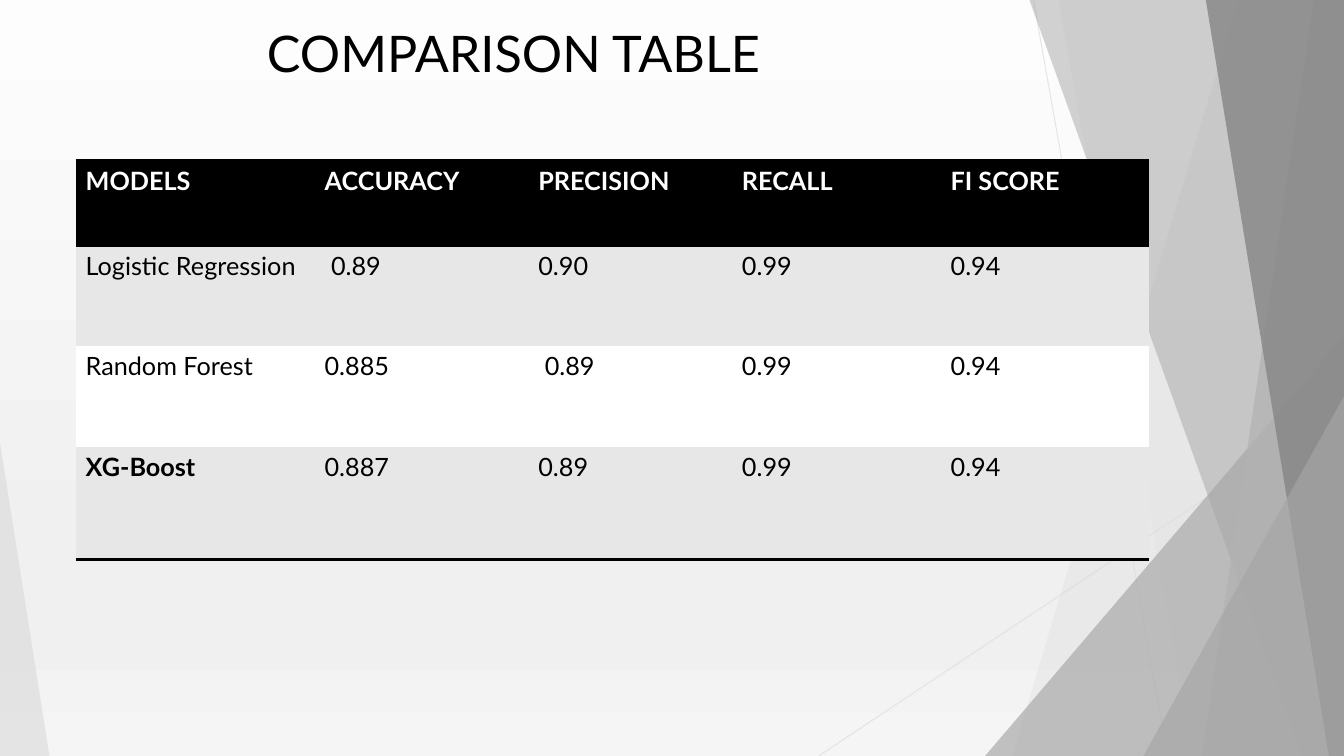
import copy
import pptx
import pptx.util
import pptx.dml.color
import pptx.enum.shapes
import pptx.enum.text
import pptx.oxml
import pptx.oxml.ns

Inches = pptx.util.Inches
qn = pptx.oxml.ns.qn


def color(hex_code):
    return pptx.dml.color.RGBColor.from_string(hex_code)


def write(frame, text, **format_values):
    run = frame.paragraphs[0].add_run()
    run.text = text
    run.font.name = "Lato"
    run.font.color.rgb = color(format_values.pop("rgb", "000000"))
    for attribute, value in format_values.items():
        setattr(run.font, attribute, value)


deck = pptx.Presentation()
deck.slide_width, deck.slide_height = Inches(13.33), Inches(7.5)
slide = deck.slides.add_slide(deck.slide_layouts[6])
shapes = slide.shapes

backdrop = slide.background.fill
backdrop.gradient()
backdrop.gradient_angle = 270
stop_list = backdrop.gradient_stops[0]._gs.getparent()
for _ in range(2):
    stop_list.append(copy.deepcopy(stop_list[0]))
shades = [(0, "FDFDFD"), (0.74, "F0F0F0"), (0.83, "F0F0F0"), (1, "F5F5F5")]
for stop, (position, shade) in zip(backdrop.gradient_stops, shades):
    stop.position = position
    stop.color.rgb = color(shade)

for x1, y1, x2, y2 in [(10.25, 0, 11.58, 7.5), (13.33, 4.03, 8.12, 7.5)]:
    ray = shapes.add_connector(pptx.enum.shapes.MSO_CONNECTOR.STRAIGHT,
                               Inches(x1), Inches(y1), Inches(x2), Inches(y2))
    ray.line.color.rgb = color("DDDDDD")
    ray.line.width = pptx.util.Pt(0.75)
    ray_color = ray.line.fill._xPr.find(".//" + qn("a:srgbClr"))
    pptx.oxml.ns  # noqa
    ray_color.append(pptx.oxml.parse_xml(
        f'<a:alpha {pptx.oxml.ns.nsdecls("a")} val="70000"/>'))
    ray._element.spPr.append(pptx.oxml.parse_xml(
        f'<a:effectLst {pptx.oxml.ns.nsdecls("a")}/>'))

facets = [
    ("pane", (12.28, 10.04), "DDDDDD", 36),
    ("pane", (10.5, 11.83), "DDDDDD", 20),
    ("triangle", (9.77, 3.33, 3.56, 4.17, 1), "A6A6A6", 66),
    ("pane", (10.21, 12.91), "A6A6A6", 50),
    ("pane", (13.03, 11.92), "B2B2B2", 70),
    ("pane", (11.96, 13.18), "858585", 80),
    ("triangle", (11.34, 3.93, 1.99, 3.57, 1), "A6A6A6", 66),
    ("triangle", (0, 4.39, 0.49, 3.11, 0), "DDDDDD", 70),
]
for kind, geometry, shade, opacity in facets:
    if kind == "pane":
        top_x, bottom_x = geometry
        outline = shapes.build_freeform(Inches(top_x), 0)
        outline.add_line_segments([
            (Inches(13.33), 0), (Inches(13.33), Inches(7.5)),
            (Inches(bottom_x), Inches(7.5))])
        facet = outline.convert_to_shape()
    else:
        *box, apex = geometry
        facet = shapes.add_shape(pptx.enum.shapes.MSO_SHAPE.ISOSCELES_TRIANGLE,
                                 *map(Inches, box))
        facet.adjustments[0] = apex
    facet.shadow.inherit = False
    facet.line.fill.background()
    facet.fill.solid()
    facet.fill.fore_color.rgb = color(shade)
    facet._element.spPr.find(".//" + qn("a:srgbClr")).append(pptx.oxml.parse_xml(
        f'<a:alpha {pptx.oxml.ns.nsdecls("a")} val="{opacity * 1000}"/>'))

title = shapes.add_textbox(Inches(2.55), Inches(0.17), Inches(6), Inches(0.75)).text_frame
title.word_wrap = True
write(title, "COMPARISON TABLE", size=pptx.util.Pt(36))

scores = [
    ["MODELS", "ACCURACY", "PRECISION", "RECALL", "FI SCORE"],
    ["Logistic Regression", " 0.89", "0.90", "0.99", "0.94"],
    ["Random Forest", "0.885", " 0.89", "0.99", "0.94"],
    ["XG-Boost", "0.887", "0.89", "0.99", "0.94"],
]
widths = [2.37, 2.12, 2.02, 2.07, 2.07]
heights = [0.85, 0.99, 1, 1.12]
row_fills = ["000000", "E7E7E7", "FFFFFF", "E7E7E7"]
row_borders = [["lnT", "lnB"], [], [], ["lnB"]]

comparison = shapes.add_table(len(scores), len(widths), Inches(0.75), Inches(1.59),
                              Inches(sum(widths)), Inches(sum(heights))).table
comparison._tbl.tblPr.find(qn("a:tableStyleId")).text = "{2D5ABB26-0587-4C30-8999-92F81FD0307C}"
for column, width in zip(comparison.columns, widths):
    column.width = Inches(width)
for r, (row, height) in enumerate(zip(comparison.rows, heights)):
    row.height = Inches(height)
    for c, cell in enumerate(row.cells):
        for side in row_borders[r]:
            cell._tc.get_or_add_tcPr().append(pptx.oxml.parse_xml(
                f'<a:{side} {pptx.oxml.ns.nsdecls("a")} w="25400"><a:solidFill>'
                f'<a:srgbClr val="000000"/></a:solidFill></a:{side}>'))
        cell.fill.solid()
        cell.fill.fore_color.rgb = color(row_fills[r])
        write(cell.text_frame, scores[r][c], size=pptx.util.Pt(18),
              bold=r == 0 or scores[r][c] == "XG-Boost",
              rgb="FFFFFF" if r == 0 else "000000")

deck.save("out.pptx")
